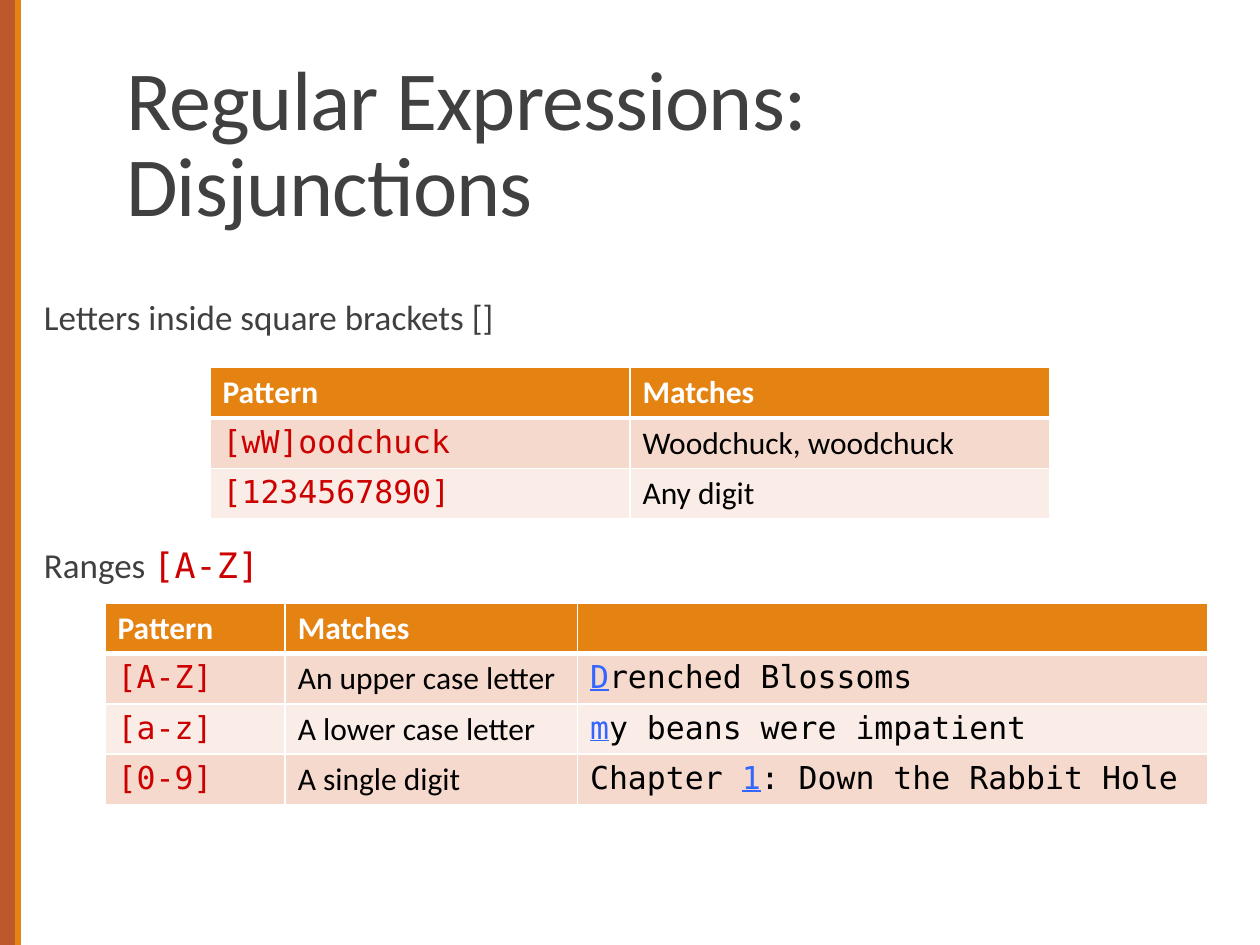
"""Build a slide on disjunctions in regular expressions."""
from lxml import etree
from pptx import Presentation
from pptx.dml.color import RGBColor
from pptx.enum.shapes import MSO_SHAPE
from pptx.enum.text import MSO_ANCHOR
from pptx.oxml.ns import qn
from pptx.util import Pt

RECTANGLE = MSO_SHAPE.RECTANGLE
BOTTOM = MSO_ANCHOR.BOTTOM

RUST = RGBColor(0xBD, 0x58, 0x2C)
ORANGE = RGBColor(0xE4, 0x83, 0x12)
GREY = RGBColor(0x40, 0x40, 0x40)
RED = RGBColor(0xCC, 0x00, 0x00)
BLUE = RGBColor(0x33, 0x66, 0xFF)
BLACK = RGBColor(0x00, 0x00, 0x00)
WHITE = RGBColor(0xFF, 0xFF, 0xFF)
DARK_BAND = RGBColor(0xF5, 0xD9, 0xCC)
LIGHT_BAND = RGBColor(0xFA, 0xED, 0xE7)

SANS = "Calibri"
MONO = "DejaVu Sans Mono"
FORMATS = {
    "title": {"name": SANS, "size": Pt(48), "color": GREY},
    "body": {"name": SANS, "size": Pt(20), "color": GREY},
    "body code": {"name": MONO, "size": Pt(20), "color": RED},
    "header": {"name": SANS, "size": Pt(18), "color": WHITE, "bold": True},
    "code": {"name": MONO, "size": Pt(18), "color": RED},
    "plain": {"name": SANS, "size": Pt(18), "color": BLACK},
    "sample": {"name": MONO, "size": Pt(18), "color": BLACK},
    "match": {"name": MONO, "size": Pt(18), "color": BLUE, "underline": True},
}


def add_spans(para, spans):
    for text, style in spans:
        span = para.add_run()
        span.text = text
        for key, value in FORMATS[style].items():
            if key == "color":
                span.font.color.rgb = value
            else:
                setattr(span.font, key, value)


def add_border(cell, side, width):
    line = etree.SubElement(cell._tc.get_or_add_tcPr(), qn(f"a:{side}"), w=str(Pt(width)))
    fill = etree.SubElement(line, qn("a:solidFill"))
    etree.SubElement(fill, qn("a:srgbClr"), val=str(WHITE))


deck = Presentation()
deck.slide_width, deck.slide_height = Pt(720), Pt(540)
page = deck.slides.add_slide(deck.slide_layouts[6])

for left, width, color in [(0, 12, RUST), (8.5, 3.5, ORANGE)]:
    bar = page.shapes.add_shape(RECTANGLE, Pt(left), 0, Pt(width), Pt(540))
    bar.shadow.inherit = False
    bar.fill.solid()
    bar.fill.fore_color.rgb = color
    bar.line.fill.background()

title = page.shapes.add_textbox(Pt(65), Pt(22.5), Pt(594), Pt(114.5)).text_frame
title.word_wrap = True
title.vertical_anchor = BOTTOM
title_para = title.paragraphs[0]
title_para.line_spacing = 0.85
add_spans(title_para, [("Regular Expressions: Disjunctions", "title")])
title_para.runs[0].font._element.set("spc", "-50")

body = page.shapes.add_textbox(Pt(18), Pt(168), Pt(613.5), Pt(288)).text_frame
body.word_wrap = True
body.margin_left, body.margin_right = Pt(7.2), 0
body_lines = [
    (0, [("Letters inside square brackets []", "body")]),
    (118, [("Ranges ", "body"), ("[A-Z]", "body code")]),
]
for index, (gap, spans) in enumerate(body_lines):
    para = body.add_paragraph() if index else body.paragraphs[0]
    para.line_spacing = 0.9
    para.space_before, para.space_after = Pt(gap), Pt(2)
    add_spans(para, spans)

ROW_HEIGHT = 28.8
letter_rows = [
    [[("Pattern", "header")], [("Matches", "header")]],
    [[("[wW]oodchuck", "code")], [("Woodchuck, woodchuck", "plain")]],
    [[("[1234567890]", "code")], [("Any digit", "plain")]],
]
range_rows = [
    [[("Pattern", "header")], [("Matches", "header")], []],
    [[("[A-Z]", "code")], [("An upper case letter", "plain")],
     [("D", "match"), ("renched Blossoms", "sample")]],
    [[("[a-z]", "code")], [("A lower case letter", "plain")],
     [("m", "match"), ("y beans were impatient", "sample")]],
    [[("[0-9]", "code")], [("A single digit", "plain")],
     [("Chapter ", "sample"), ("1", "match"), (": Down the Rabbit Hole", "sample")]],
]
tables = [
    (120, 210, [240, 240], letter_rows),
    (60, 344.5, [103, 167, 360], range_rows),
]
for left, top, widths, rows in tables:
    table = page.shapes.add_table(
        len(rows), len(widths), Pt(left), Pt(top),
        Pt(sum(widths)), Pt(ROW_HEIGHT * len(rows))).table
    for column, width in zip(table.columns, widths):
        column.width = Pt(width)
    for row_index, row in enumerate(rows):
        table.rows[row_index].height = Pt(ROW_HEIGHT)
        band = DARK_BAND if row_index % 2 else LIGHT_BAND
        borders = {"lnL": 1, "lnR": 1,
                   "lnT": 3 if row_index == 1 else 1,
                   "lnB": 3 if row_index == 0 else 1}
        for column_index, spans in enumerate(row):
            cell = table.cell(row_index, column_index)
            for side, width in borders.items():
                add_border(cell, side, width)
            cell.fill.solid()
            cell.fill.fore_color.rgb = band if row_index else ORANGE
            add_spans(cell.text_frame.paragraphs[0], spans)

deck.save("out.pptx")
